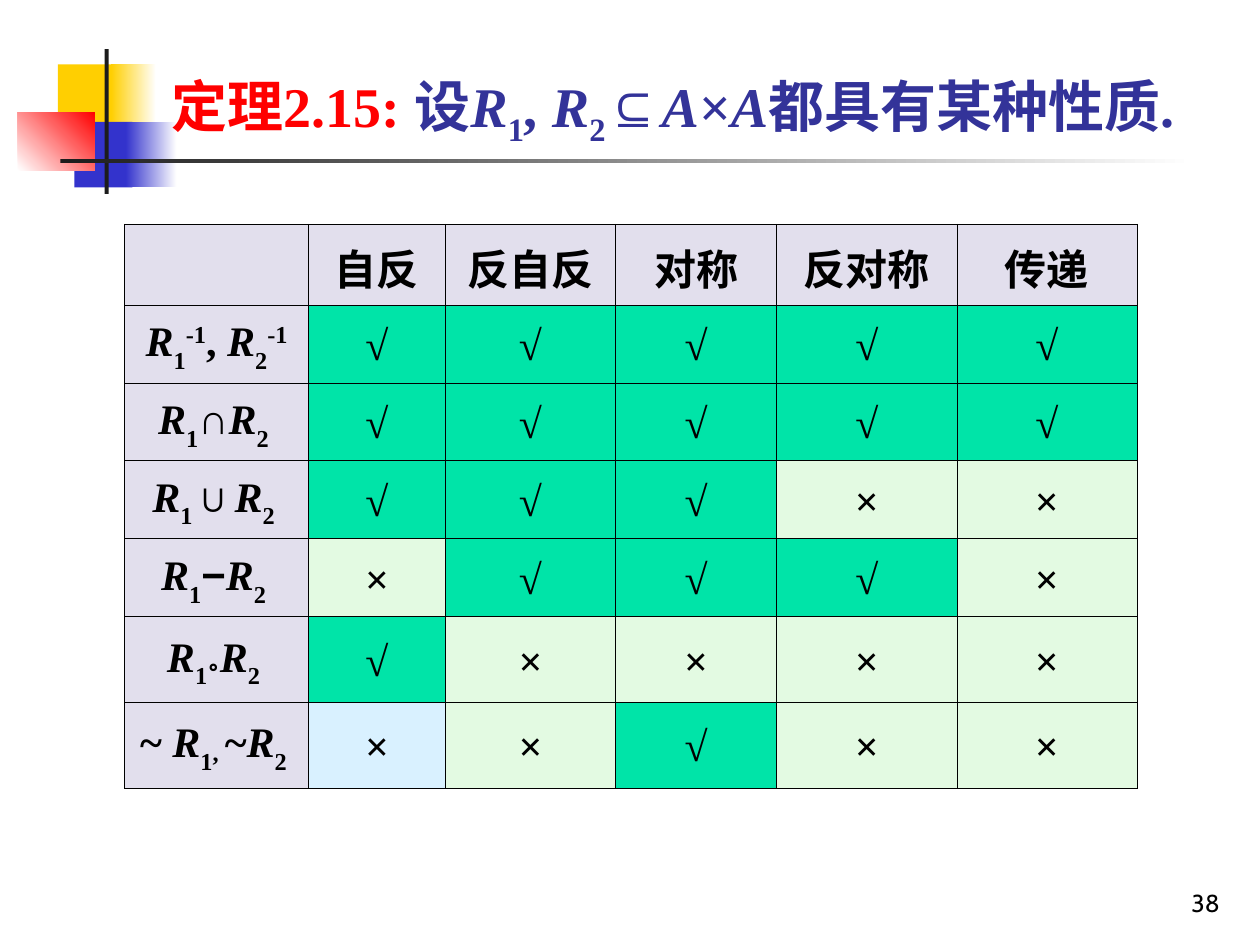
"""Build the slide on which relation properties survive set operations."""
import pptx
import pptx.dml.color
import pptx.enum.shapes
import pptx.enum.text
import pptx.oxml
import pptx.oxml.ns
import pptx.util

Cm, Pt = pptx.util.Cm, pptx.util.Pt
ANCHOR, ALIGN = pptx.enum.text.MSO_ANCHOR, pptx.enum.text.PP_ALIGN

R = ("R", "var")
ONE, TWO, END = ("1", "sub"), ("2", "sub"), ("2 ", "sub")
INV = ("-1", "sup")

TITLE = [("定理2.15: ", "red"), ("设", ""), R, ("1", "low"), (", ", ""), R,
         ("2", "low"), ("⊆", ""), ("A", "var"), ("×", ""), ("A", "var"),
         ("都具有某种性质.", "")]
HEADS = ["自反", "反自反", "对称", "反对称", "传递"]
ROWS = [
    ([R, ONE, INV, (", ", ""), R, TWO, INV], "√√√√√"),
    ([R, ONE, ("∩", ""), R, END], "√√√√√"),
    ([R, ONE, ("∪", ""), R, END], "√√√××"),
    ([R, ONE, ("−", "sans"), R, END], "×√√√×"),
    ([R, ONE, ("∘", "drop"), R, END], "√××××"),
    ([("~ ", ""), R, ONE, (", ", "drop"), ("~", ""), R, END], "××√××"),
]
NUMBER = "38"

STYLES = {
    "": {},
    "var": {"italic": True},
    "sub": {"base": -30},
    "low": {"base": -25},
    "sup": {"base": 30},
    "drop": {"base": -8},
    "sans": {"name": "Arial"},
    "red": {"hue": "FF0000"},
}
HEAD_FONT = {"name": "Times New Roman", "size": Pt(32), "bold": True, "hue": "333399"}
CELL_FONT = {"name": "Times New Roman", "size": Pt(24), "bold": True, "hue": "000000"}
PAGE_FONT = {"name": "Cabin", "size": Pt(14), "hue": "000000"}

LABEL = "E2DFED"
FILLS = {"√": "00E4A8", "×": "E3FAE2"}
TINTS = {(6, 1): "D9F1FF"}
WIDTHS = [3.71, 2.76, 3.43, 3.25, 3.63, 3.63]
HEIGHTS = [1.63] + [1.57] * 4 + [1.73] * 2

DECOR = [
    ((1.17, 1.3, 1.22, 1.32), ["FFCF01"], 0),
    ((2.24, 1.3, 0.91, 1.32), ["FFCF01", "FFFFFF"], 0),
    ((1.5, 2.46, 1.17, 1.32), ["3333CC"], 0),
    ((2.54, 2.46, 1.02, 1.32), ["3333CC", "FFFFFF"], 0),
    ((0.36, 2.26, 1.55, 1.17), ["FFFFFF", "FF0000"], 45),
    ((2.11, 0.99, 0.08, 2.92), ["1C1C1C"], 0),
    ((1.22, 3.2, 22.86, 0.08), ["1C1C1C", "FFFFFF"], 0),
]


def tint(hue):
    return pptx.dml.color.RGBColor.from_string(hue)


def flood(fill, hues, angle=0):
    if len(hues) == 1:
        fill.solid()
        fill.fore_color.rgb = tint(hues[0])
        return
    fill.gradient()
    fill.gradient_angle = angle
    for stop, hue in zip(fill.gradient_stops, hues):
        stop.color.rgb = tint(hue)


def write(par, runs, look):
    for text, style in runs:
        run = par.add_run()
        run.text = text
        for key, value in {**look, **STYLES[style]}.items():
            if key == "hue":
                run.font.color.rgb = tint(value)
            elif key == "base":
                run._r.get_or_add_rPr().set("baseline", str(value * 1000))
            else:
                setattr(run.font, key, value)


def edge(cell):
    props = cell._tc.get_or_add_tcPr()
    for spot, side in enumerate("LRTB"):
        props.insert(spot, pptx.oxml.parse_xml(
            f'<a:ln{side} {pptx.oxml.ns.nsdecls("a")} w="{Pt(0.45)}"><a:solidFill>'
            f'<a:srgbClr val="000000"/></a:solidFill></a:ln{side}>'))


def draw_decor(slide):
    for place, hues, angle in DECOR:
        shape = slide.shapes.add_shape(
            pptx.enum.shapes.MSO_SHAPE.RECTANGLE, *map(Cm, place))
        shape.shadow.inherit = False
        shape.line.fill.background()
        flood(shape.fill, hues, angle)


def draw_text(shape, place, runs, look, align):
    shape.left, shape.top, shape.width, shape.height = map(Cm, place)
    frame = shape.text_frame
    frame.word_wrap = True
    frame.auto_size = pptx.enum.text.MSO_AUTO_SIZE.NONE
    frame.vertical_anchor = ANCHOR.BOTTOM
    frame.paragraphs[0].alignment = align
    write(frame.paragraphs[0], runs, look)


def draw_table(slide):
    grid = [[[]] + [[(head, "")] for head in HEADS]]
    grid += [[label] + [[(mark, "")] for mark in marks] for label, marks in ROWS]
    table = slide.shapes.add_table(
        len(grid), len(WIDTHS), Cm(2.51), Cm(4.52),
        Cm(sum(WIDTHS)), Cm(sum(HEIGHTS))).table
    table.first_row = table.horz_banding = False
    for col, width in zip(table.columns, WIDTHS):
        col.width = Cm(width)
    for row, height in zip(table.rows, HEIGHTS):
        row.height = Cm(height)
    for y, line in enumerate(grid):
        for x, runs in enumerate(line):
            cell = table.cell(y, x)
            cell.vertical_anchor = ANCHOR.MIDDLE
            par = cell.text_frame.paragraphs[0]
            par.alignment, par.line_spacing = ALIGN.CENTER, 1.1
            write(par, runs, CELL_FONT)
            hue = FILLS[runs[0][0]] if x and y else LABEL
            flood(cell.fill, [TINTS.get((y, x), hue)])
            edge(cell)


def main():
    deck = pptx.Presentation()
    deck.slide_width, deck.slide_height = Cm(25.4), Cm(19.05)
    slide = deck.slides.add_slide(deck.slide_layouts[5])
    draw_decor(slide)
    page = slide.shapes.add_textbox(0, 0, 0, 0)
    draw_text(page, (19.56, 17.35, 5.28, 1.27), [(NUMBER, "")], PAGE_FONT, ALIGN.RIGHT)
    title = slide.shapes.title
    title._element.getparent().append(title._element)
    draw_text(title, (3.2, 0.99, 21.64, 2.13), TITLE, HEAD_FONT, ALIGN.LEFT)
    draw_table(slide)
    deck.save("out.pptx")


if __name__ == "__main__":
    main()
